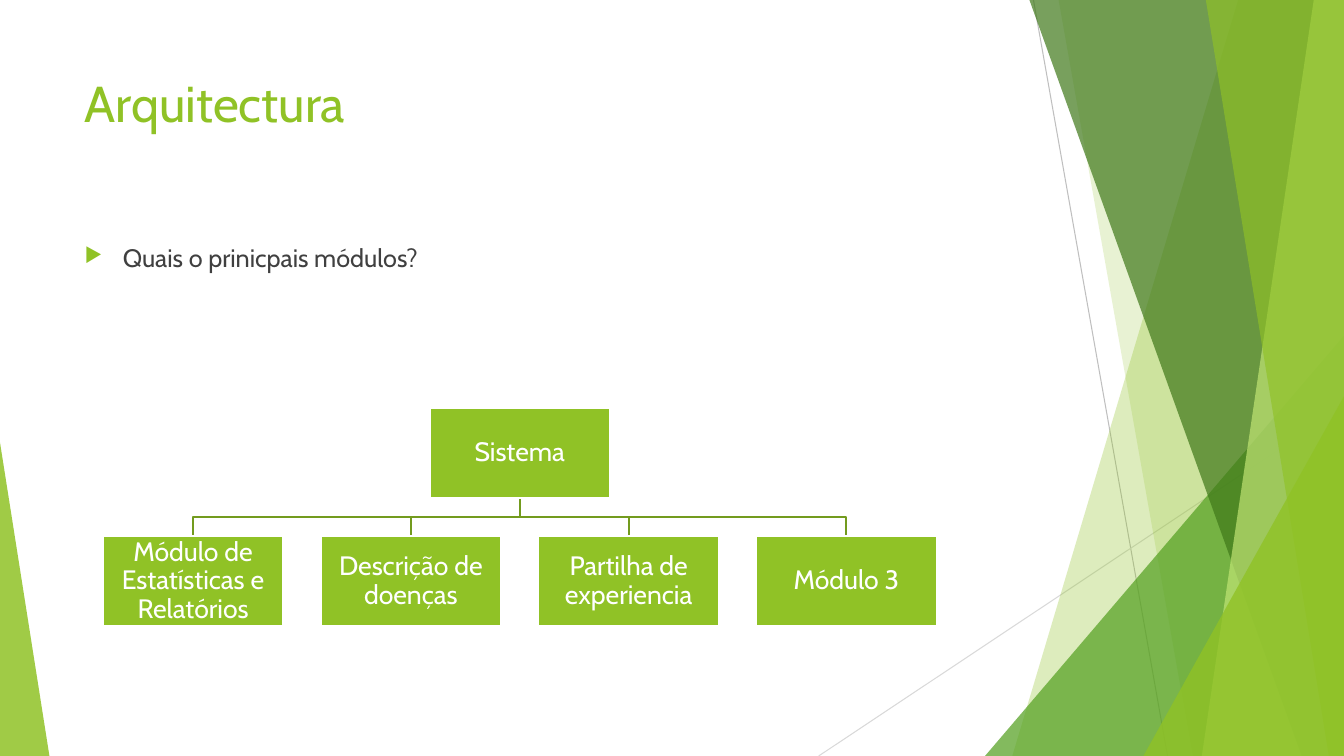
from lxml import etree
from pptx import Presentation, util as u
from pptx.dml.color import RGBColor
from pptx.enum import shapes, text
from pptx.oxml.ns import qn

THEME = {
    "font": "Cabin", "title": 36, "body": 18, "module": 19,
    "green": "90C226", "leaf": "54A021", "forest": "3F7819", "lime": "C0E474",
    "branch": "739B1E", "ink": "404040", "white": "FFFFFF",
    "hairline": "BFBFBF", "pale_hairline": "D9D9D9",
}
WIDTH, HEIGHT = 13.33, 7.5


def rgb(name):
    return RGBColor.from_string(THEME[name])


def write(frame, content, size, color, align=text.PP_ALIGN.LEFT,
          anchor=text.MSO_ANCHOR.TOP, spacing=None, before=None, inset=None):
    frame.word_wrap = True
    frame.vertical_anchor = anchor
    if inset is not None:
        frame.margin_left = frame.margin_right = u.Inches(inset)
        frame.margin_top = frame.margin_bottom = u.Inches(inset)
    paragraph = frame.paragraphs[0]
    paragraph.alignment = align
    if spacing:
        paragraph.line_spacing = spacing
    if before:
        paragraph.space_before = u.Pt(before)
    run = paragraph.add_run()
    run.text = content
    run.font.name = THEME["font"]
    run.font.size = u.Pt(THEME[size])
    run.font.color.rgb = rgb(color)
    return paragraph


deck = Presentation()
deck.slide_width, deck.slide_height = u.Inches(WIDTH), u.Inches(HEIGHT)
slide = deck.slides.add_slide(deck.slide_layouts[6])
canvas = slide.shapes

# Hairlines behind the facets
for x1, y1, x2, color in [(10.25, 0, 11.58, "hairline"),
                          (WIDTH, 4.03, 8.12, "pale_hairline")]:
    hairline = canvas.add_connector(
        shapes.MSO_CONNECTOR.STRAIGHT,
        u.Inches(x1), u.Inches(y1), u.Inches(x2), u.Inches(HEIGHT))
    hairline.line.color.rgb = rgb(color)
    hairline.line.width = u.Pt(0.75)
    etree.SubElement(hairline._element.spPr, qn("a:effectLst"))

# Facets, back to front. A band spans the full height up to the right edge and
# gives its left edge at top and bottom; a triangle gives left, top, width, apex.
facets = [
    ("band", (12.28, 10.04), "green", 30),
    ("band", (10.5, 11.83), "green", 20),
    ("triangle", (9.77, 3.33, 3.56, 1), "leaf", 72),
    ("band", (10.21, 12.91), "forest", 70),
    ("band", (13.03, 11.92), "lime", 70),
    ("band", (11.96, 13.18), "green", 65),
    ("triangle", (11.34, 3.93, 1.99, 1), "green", 80),
    ("triangle", (0, 4.39, 0.49, 0), "green", 85),
]
for kind, place, color, opacity in facets:
    if kind == "band":
        top_x, bottom_x = map(u.Inches, place)
        outline = canvas.build_freeform(top_x, 0)
        outline.add_line_segments([
            (deck.slide_width, 0), (deck.slide_width, deck.slide_height),
            (bottom_x, deck.slide_height)], close=True)
        facet = outline.convert_to_shape()
    else:
        left, top, width, apex = place
        facet = canvas.add_shape(
            shapes.MSO_SHAPE.ISOSCELES_TRIANGLE, u.Inches(left), u.Inches(top),
            u.Inches(width), u.Inches(HEIGHT - top))
        facet.adjustments[0] = apex
    facet.shadow.inherit = False
    facet.line.fill.background()
    facet.fill.solid()
    facet.fill.fore_color.rgb = rgb(color)
    tint = facet._element.spPr.find(qn("a:solidFill"))[0]
    etree.SubElement(tint, qn("a:alpha"), val=str(opacity * 1000))

# Title and question
MARGIN, TEXT_WIDTH = 0.74, 9.4
heading = canvas.add_textbox(u.Inches(MARGIN), u.Inches(0.67),
                             u.Inches(TEXT_WIDTH), u.Inches(1.44))
write(heading.text_frame, "Arquitectura", size="title", color="green")

question = canvas.add_textbox(u.Inches(MARGIN), u.Inches(2.36),
                              u.Inches(TEXT_WIDTH), u.Inches(4.24))
line = write(question.text_frame, "Quais o prinicpais módulos?",
             size="body", color="ink", before=10)
indent = u.Inches(0.38)
bullet = line._p.get_or_add_pPr()
bullet.set("marL", str(indent))
bullet.set("indent", str(-indent))
bullet_color = etree.SubElement(bullet, qn("a:buClr"))
etree.SubElement(bullet_color, qn("a:srgbClr"), val=THEME["green"])
etree.SubElement(bullet, qn("a:buSzPct"), val="80000")
etree.SubElement(bullet, qn("a:buChar"), char="▶")

# Module tree: the system is centred over a row of equal columns
modules = ["Módulo de Estatísticas e Relatórios", "Descrição de doenças",
           "Partilha de experiencia", "Módulo 3"]
BOX_W, BOX_H, PITCH = 1.79, 0.89, 2.16
FIRST_X, SYSTEM_Y, MODULE_Y = 1.02, 4.05, 5.32
system_column = (len(modules) - 1) / 2


def column_center(column):
    return u.Inches(FIRST_X + column * PITCH + BOX_W / 2)


trunk_x = column_center(system_column)
trunk_top, branch_end = u.Inches(SYSTEM_Y + BOX_H), u.Inches(MODULE_Y)
fork_y = (trunk_top + branch_end) // 2
for column in reversed(range(len(modules))):
    branch_x = column_center(column)
    outline = canvas.build_freeform(trunk_x, trunk_top)
    outline.add_line_segments([(trunk_x, fork_y), (branch_x, fork_y),
                               (branch_x, branch_end)], close=False)
    branch = outline.convert_to_shape()
    branch.shadow.inherit = False
    branch.fill.background()
    branch.line.color.rgb = rgb("branch")
    branch.line.width = u.Pt(1.5)

nodes = [("Sistema", system_column, SYSTEM_Y)]
nodes += [(name, column, MODULE_Y) for column, name in enumerate(modules)]
for name, column, top in nodes:
    node = canvas.add_shape(
        shapes.MSO_SHAPE.RECTANGLE, u.Inches(FIRST_X + column * PITCH),
        u.Inches(top), u.Inches(BOX_W), u.Inches(BOX_H))
    node.shadow.inherit = False
    node.fill.solid()
    node.fill.fore_color.rgb = rgb("green")
    node.line.color.rgb = rgb("white")
    node.line.width = u.Pt(1.5)
    write(node.text_frame, name, size="module", color="white",
          align=text.PP_ALIGN.CENTER, anchor=text.MSO_ANCHOR.MIDDLE,
          spacing=0.9, inset=0.01)

deck.save("out.pptx")
